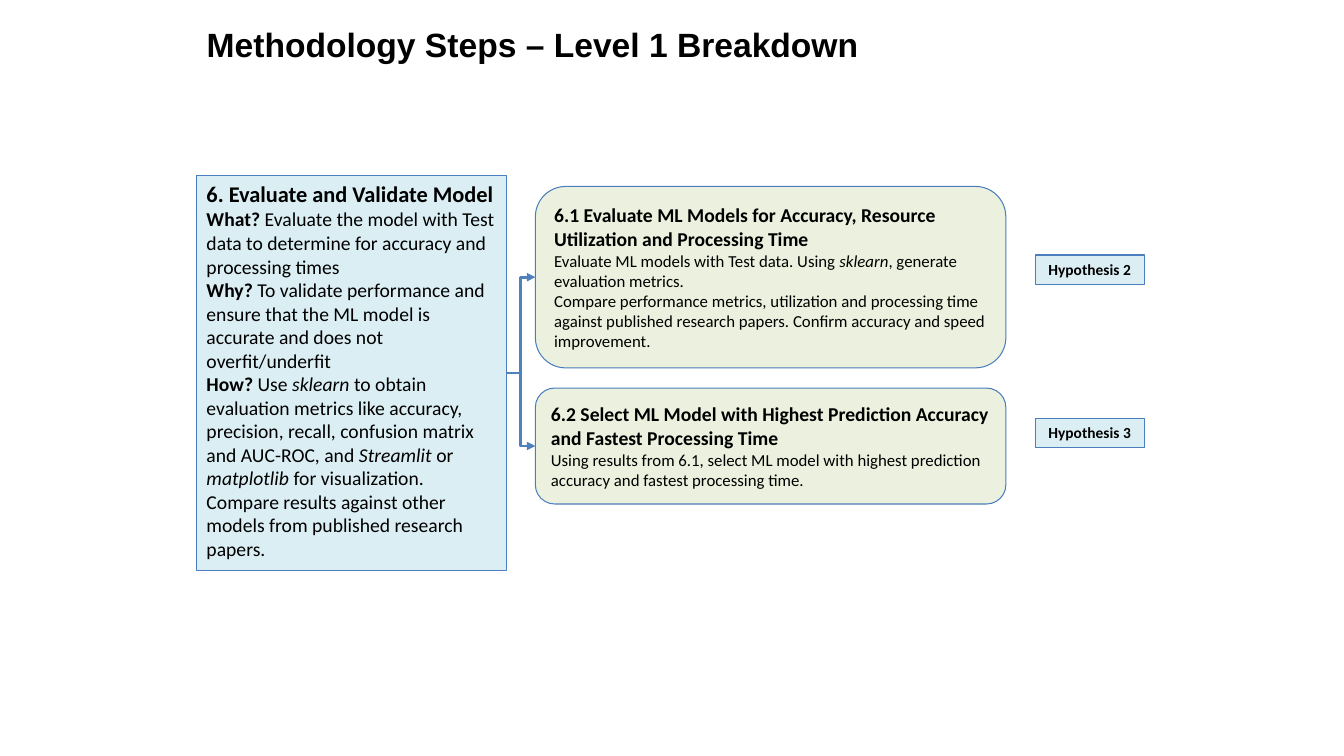
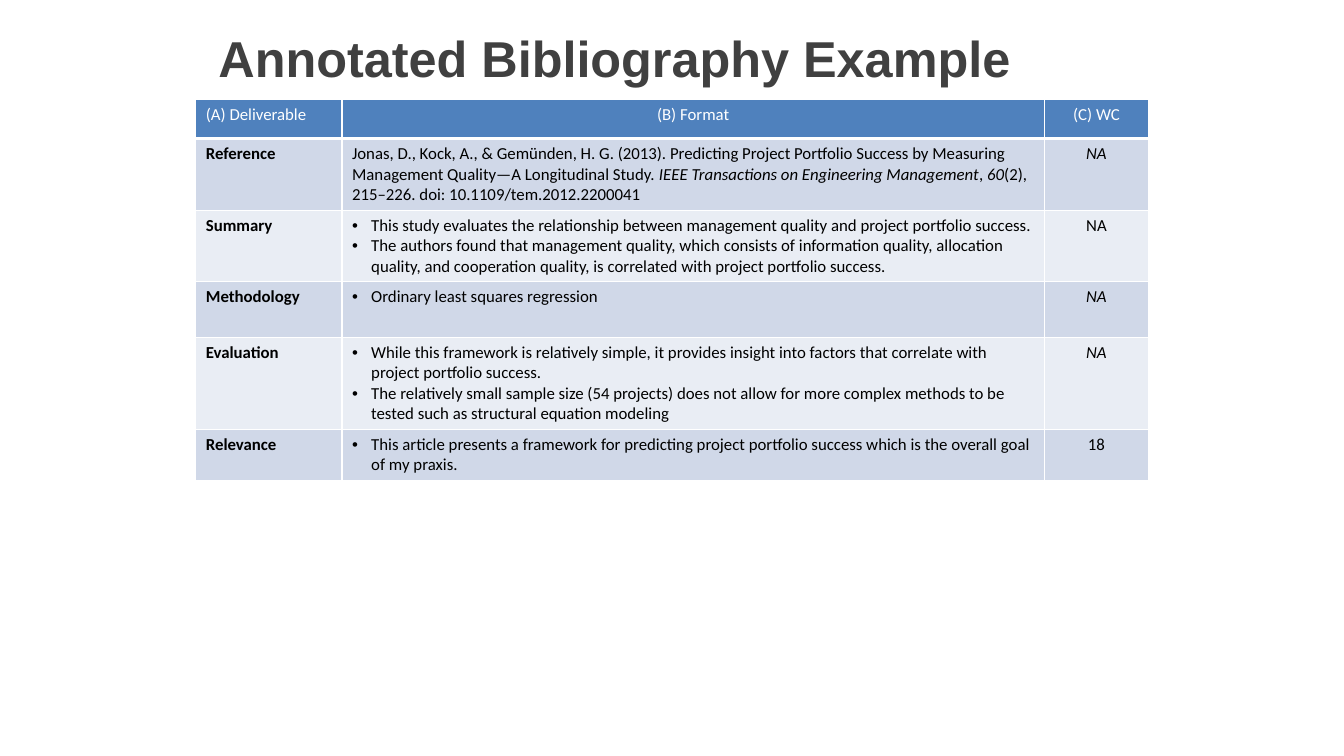
from dataclasses import dataclass
from typing import Any, NamedTuple

from lxml.etree import SubElement
from pptx import Presentation
from pptx.dml.color import RGBColor
from pptx.enum.shapes import MSO_CONNECTOR as Connector, MSO_SHAPE as Preset
from pptx.enum.text import MSO_ANCHOR as Anchor, MSO_AUTO_SIZE as AutoSize, PP_ALIGN as Align
from pptx.oxml.ns import qn
from pptx.util import Inches, Pt

BLACK = RGBColor(0x00, 0x00, 0x00)
WHITE = RGBColor(0xFF, 0xFF, 0xFF)
DARK_GRAY = RGBColor(0x40, 0x40, 0x40)
BLUE = RGBColor(0x4F, 0x81, 0xBD)
OUTLINE = RGBColor(0x4B, 0x7E, 0xBC)
PALE_BLUE = RGBColor(0xDB, 0xEE, 0xF4)
PALE_GREEN = RGBColor(0xEB, 0xF1, 0xDE)
BANDS = (RGBColor(0xD0, 0xD8, 0xE8), RGBColor(0xE9, 0xED, 0xF4))

TITLE_FONT = "Arial"
BODY_FONT = "Calibri"
SLIDE_WIDTH = Inches(13.33)
SLIDE_HEIGHT = Inches(7.5)
GRID_ROWS = 90
UNIT = SLIDE_HEIGHT / GRID_ROWS
TITLE_ONLY_LAYOUT = 5

PANEL_LEFT = 23.4
PANEL_WIDTH = 36.84
GAP = 3.48
STEP_LEFT = PANEL_LEFT + PANEL_WIDTH + GAP
STEP_WIDTH = 56
TAG_LEFT = STEP_LEFT + STEP_WIDTH + GAP
TAG_WIDTH = 13
TAG_HEIGHT = 3.48
FIRST_STEP_TOP = 22.2
STEP_GAP = 2.4

TABLE_LEFT = 23.3
TABLE_TOP = 11.8
TABLE_COLUMNS = (17.4, 83.6, 12.4)
TABLE_ROWS = (4.7, 8.4, 8.4, 6.6, 10.8, 6)
BULLET_INDENT = Inches(0.19)


class Box(NamedTuple):
    column: float
    row: float
    columns: float
    rows: float


class Run(NamedTuple):
    text: str
    size: float
    bold: bool = False
    italic: bool = False


Paragraph = tuple[Run, ...]


@dataclass(frozen=True)
class Step:
    rows: float
    paragraphs: tuple[Paragraph, ...]
    tag: str
    tag_row: float


@dataclass(frozen=True)
class Entry:
    name: str
    paragraphs: tuple[Paragraph, ...]
    count: Run
    bulleted: bool = True


def heading(text: str, size: float = 14) -> Paragraph:
    return (Run(text, size, bold=True),)


def plain(text: str) -> Paragraph:
    return (Run(text, 12),)


PANEL_TEXT = (
    heading("6. Evaluate and Validate Model", 16),
    (
        Run("What?", 14, bold=True),
        Run(" Evaluate the model with Test data to determine for accuracy and processing times", 14),
    ),
    (
        Run("Why?", 14, bold=True),
        Run(" To validate performance and ensure that the ML model is accurate and does not overfit/underfit", 14),
    ),
    (
        Run("How?", 14, bold=True),
        Run(" Use ", 14),
        Run("sklearn", 14, italic=True),
        Run(" to obtain evaluation metrics like accuracy, precision, recall, confusion matrix and AUC-ROC, and ", 14),
        Run("Streamlit", 14, italic=True),
        Run(" or", 14),
        Run(" matplotlib", 14, italic=True),
        Run(" for visualization. Compare results against other models from published research papers.", 14),
    ),
)

STEPS = (
    Step(
        21.6,
        (
            heading("6.1 Evaluate ML Models for Accuracy, Resource Utilization and Processing Time"),
            (
                Run("Evaluate ML models with Test data. Using ", 12),
                Run("sklearn", 12, italic=True),
                Run(", generate evaluation metrics.", 12),
            ),
            plain(
                "Compare performance metrics, utilization and processing time against published "
                "research papers. Confirm accuracy and speed improvement."
            ),
        ),
        "Hypothesis 2",
        30.36,
    ),
    Step(
        13.8,
        (
            heading("6.2 Select ML Model with Highest Prediction Accuracy and Fastest Processing Time"),
            plain(
                "Using results from 6.1, select ML model with highest prediction accuracy "
                "and fastest processing time."
            ),
        ),
        "Hypothesis 3",
        49.8,
    ),
)

NOT_COUNTED = Run("NA", 12, italic=True)
HEADER = ("(A) Deliverable", "(B) Format", "(C) WC")
ENTRIES = (
    Entry(
        "Reference",
        (
            (
                Run(
                    "Jonas, D., Kock, A., & Gemünden, H. G. (2013). Predicting Project Portfolio "
                    "Success by Measuring Management Quality—A Longitudinal Study. ",
                    12,
                ),
                Run("IEEE Transactions on Engineering Management", 12, italic=True),
                Run(", ", 12),
                Run("60", 12, italic=True),
                Run("(2), 215–226. doi: 10.1109/tem.2012.2200041", 12),
            ),
        ),
        NOT_COUNTED,
        bulleted=False,
    ),
    Entry(
        "Summary",
        (
            plain("This study evaluates the relationship between management quality and project portfolio success."),
            plain(
                "The authors found that management quality, which consists of information quality, allocation "
                "quality, and cooperation quality, is correlated with project portfolio success."
            ),
        ),
        Run("NA", 12),
    ),
    Entry("Methodology", (plain("Ordinary least squares regression"),), NOT_COUNTED),
    Entry(
        "Evaluation",
        (
            plain(
                "While this framework is relatively simple, it provides insight into factors "
                "that correlate with project portfolio success."
            ),
            plain(
                "The relatively small sample size (54 projects) does not allow for more complex "
                "methods to be tested such as structural equation modeling"
            ),
        ),
        NOT_COUNTED,
    ),
    Entry(
        "Relevance",
        (
            plain(
                "This article presents a framework for predicting project portfolio success "
                "which is the overall goal of my praxis."
            ),
        ),
        Run("18", 12),
    ),
)


def apply_format(target: Any, values: dict[str, Any]) -> None:
    for name, value in values.items():
        setattr(target, name, value)


def grid(units: float) -> int:
    return round(units * UNIT)


def add_bullet(paragraph: Any) -> None:
    properties = paragraph._p.get_or_add_pPr()
    properties.set("marL", str(BULLET_INDENT))
    properties.set("indent", str(-BULLET_INDENT))
    SubElement(properties, qn("a:buFont")).set("typeface", TITLE_FONT)
    SubElement(properties, qn("a:buChar")).set("char", "•")


def write_text(frame: Any, paragraphs: tuple[Paragraph, ...], color: RGBColor = BLACK,
               align: Align = Align.LEFT, font: str = BODY_FONT, bulleted: bool = False) -> None:
    for index, runs in enumerate(paragraphs):
        paragraph = frame.add_paragraph() if index else frame.paragraphs[0]
        paragraph.alignment = align
        if bulleted:
            add_bullet(paragraph)
        for item in runs:
            run = paragraph.add_run()
            run.text = item.text
            apply_format(run.font, {"name": font, "size": Pt(item.size), "bold": item.bold, "italic": item.italic})
            run.font.color.rgb = color


def add_titled_slide(presentation: Any, text: str, box: Box, size: float, color: RGBColor, anchor: Anchor) -> Any:
    slide = presentation.slides.add_slide(presentation.slide_layouts[TITLE_ONLY_LAYOUT])
    title = slide.shapes.title
    apply_format(title, dict(zip(("left", "top", "width", "height"), map(grid, box))))
    apply_format(title.text_frame, {"auto_size": AutoSize.NONE, "word_wrap": True, "vertical_anchor": anchor})
    write_text(title.text_frame, (heading(text, size),), color, font=TITLE_FONT)
    return slide


def add_box(slide: Any, preset: Preset, box: Box, fill: RGBColor, paragraphs: tuple[Paragraph, ...],
            anchor: Anchor = Anchor.TOP, align: Align = Align.LEFT) -> Any:
    shape = slide.shapes.add_shape(preset, *map(grid, box))
    shape.shadow.inherit = False
    shape.fill.solid()
    shape.fill.fore_color.rgb = fill
    shape.line.color.rgb = OUTLINE
    shape.line.width = Pt(0.75)
    apply_format(shape.text_frame, {"word_wrap": True, "vertical_anchor": anchor})
    write_text(shape.text_frame, paragraphs, align=align)
    return shape


def add_arrow(slide: Any, source: Any, target: Any) -> None:
    arrow = slide.shapes.add_connector(Connector.ELBOW, 0, 0, 0, 0)
    arrow.begin_connect(source, 3)
    arrow.end_connect(target, 1)
    arrow.line.color.rgb = BLUE
    arrow.line.width = Pt(2)
    SubElement(arrow.line._get_or_add_ln(), qn("a:tailEnd")).set("type", "triangle")
    SubElement(arrow._element.spPr, qn("a:effectLst"))


def add_borders(cell: Any, bottom: float) -> None:
    properties = cell._tc.get_or_add_tcPr()
    for index, (side, width) in enumerate({"lnL": 1, "lnR": 1, "lnT": 1, "lnB": bottom}.items()):
        line = SubElement(properties, qn(f"a:{side}"))
        line.set("w", str(Pt(width)))
        SubElement(SubElement(line, qn("a:solidFill")), qn("a:srgbClr")).set("val", str(WHITE))
        properties.insert(index, line)


def fill_cell(cell: Any, fill: RGBColor, paragraphs: tuple[Paragraph, ...], color: RGBColor = BLACK,
              align: Align = Align.LEFT, bulleted: bool = False, bottom: float = 1) -> None:
    cell.fill.solid()
    cell.fill.fore_color.rgb = fill
    add_borders(cell, bottom)
    write_text(cell.text_frame, paragraphs, color, align, bulleted=bulleted)


def build_methodology(presentation: Any) -> None:
    slide = add_titled_slide(presentation, "Methodology Steps – Level 1 Breakdown",
                             Box(PANEL_LEFT, 2.3, 101.8, 13.8), 24, BLACK, Anchor.TOP)
    panel = add_box(slide, Preset.RECTANGLE, Box(PANEL_LEFT, 20.9, PANEL_WIDTH, 47), PALE_BLUE, PANEL_TEXT)
    top = FIRST_STEP_TOP
    for step in STEPS:
        target = add_box(slide, Preset.ROUNDED_RECTANGLE, Box(STEP_LEFT, top, STEP_WIDTH, step.rows),
                         PALE_GREEN, step.paragraphs, Anchor.MIDDLE)
        add_arrow(slide, panel, target)
        add_box(slide, Preset.RECTANGLE, Box(TAG_LEFT, step.tag_row, TAG_WIDTH, TAG_HEIGHT),
                PALE_BLUE, (heading(step.tag, 11),), align=Align.CENTER)
        top += step.rows + STEP_GAP


def build_bibliography(presentation: Any) -> None:
    slide = add_titled_slide(presentation, "Annotated Bibliography Example",
                             Box(24.8, 2, 101.8, 9.7), 36, DARK_GRAY, Anchor.MIDDLE)
    box = Box(TABLE_LEFT, TABLE_TOP, sum(TABLE_COLUMNS), sum(TABLE_ROWS))
    table = slide.shapes.add_table(len(TABLE_ROWS), len(TABLE_COLUMNS), *map(grid, box)).table
    for column, width in zip(table.columns, TABLE_COLUMNS):
        column.width = grid(width)
    for row, height in zip(table.rows, TABLE_ROWS):
        row.height = grid(height)
    for index, label in enumerate(HEADER):
        fill_cell(table.cell(0, index), BLUE, (plain(label),), WHITE,
                  Align.CENTER if index else Align.LEFT, bottom=3)
    for index, entry in enumerate(ENTRIES):
        band = BANDS[index % len(BANDS)]
        name, details, count = table.rows[index + 1].cells
        fill_cell(name, band, (heading(entry.name, 12),))
        fill_cell(details, band, entry.paragraphs, bulleted=entry.bulleted)
        fill_cell(count, band, ((entry.count,),), align=Align.CENTER)


def main() -> None:
    presentation = Presentation()
    apply_format(presentation, {"slide_width": SLIDE_WIDTH, "slide_height": SLIDE_HEIGHT})
    build_methodology(presentation)
    build_bibliography(presentation)
    presentation.save("out.pptx")


if __name__ == "__main__":
    main()
